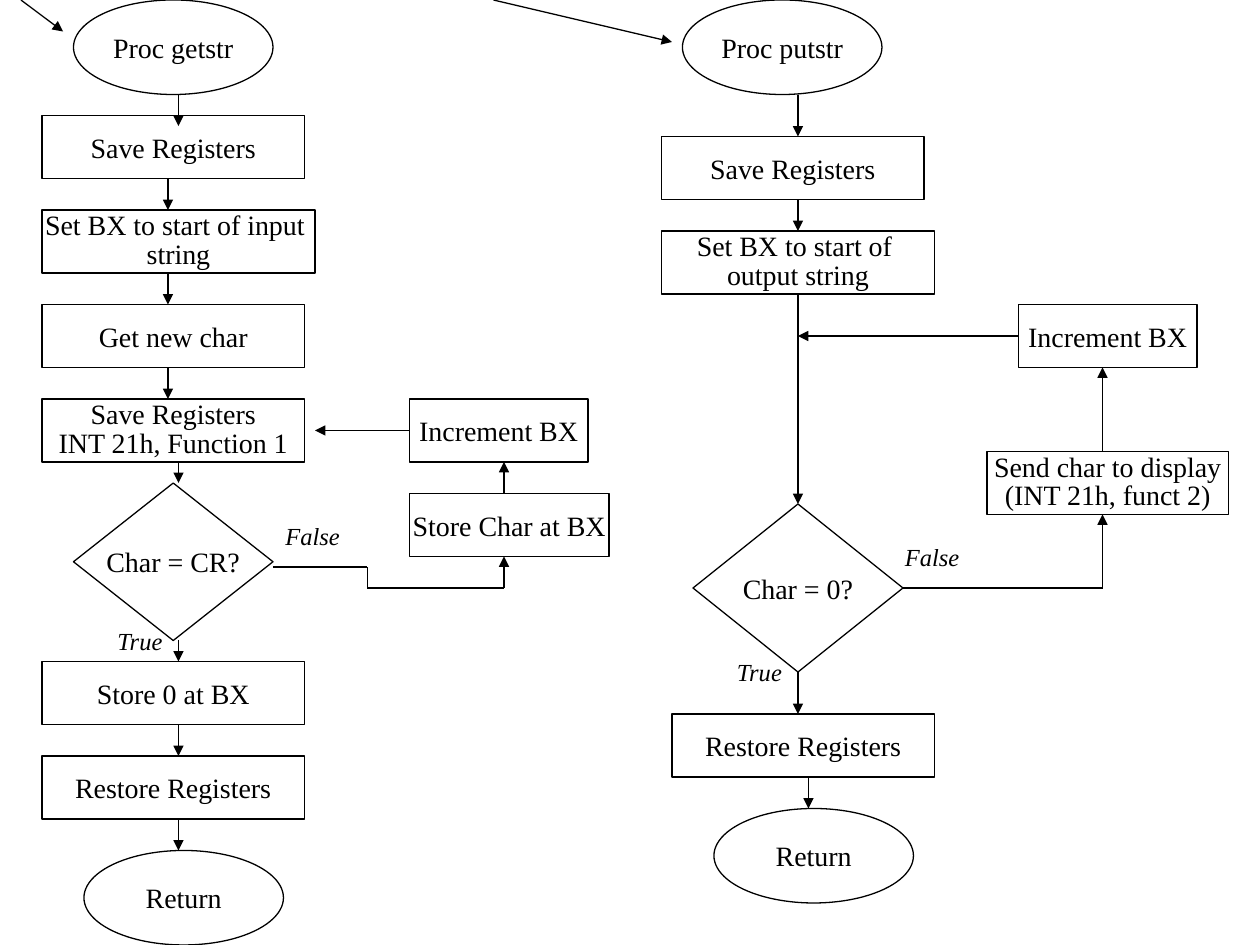
from lxml import etree
from pptx import Presentation
from pptx.dml.color import RGBColor
from pptx.enum.shapes import MSO_CONNECTOR, MSO_SHAPE
from pptx.enum.text import MSO_ANCHOR, MSO_AUTO_SIZE, PP_ALIGN
from pptx.oxml.ns import qn
from pptx.util import Cm, Pt

RECTANGLE = MSO_SHAPE.RECTANGLE
OVAL = MSO_SHAPE.OVAL
DIAMOND = MSO_SHAPE.DIAMOND
STRAIGHT = MSO_CONNECTOR.STRAIGHT
CENTER = PP_ALIGN.CENTER
MIDDLE = MSO_ANCHOR.MIDDLE
GROW = MSO_AUTO_SIZE.SHAPE_TO_FIT_TEXT

TOP, LEFT, BOTTOM, RIGHT = range(4)
FONT = "Times New Roman"
BLACK = "000000"
WHITE = "FFFFFF"
GRID_CM = 2.54 / 12
TIGHT_SPACING = 0.85

GETSTR_NODES = [
    (DIAMOND, 7, 46, 19, 15, "Char = CR?"),
    (OVAL, 7, 0, 19, 9, "Proc getstr"),
    (RECTANGLE, 4, 11, 25, 6, "Save Registers"),
    (RECTANGLE, 4, 20, 26, 6, "Set BX to start of input \nstring"),
    (RECTANGLE, 4, 29, 25, 6, "Get new char"),
    (RECTANGLE, 4, 38, 25, 6, "Save Registers\nINT 21h, Function 1"),
    (RECTANGLE, 39, 47, 19, 6, "Store Char at BX"),
    (RECTANGLE, 4, 63, 25, 6, "Store 0 at BX"),
    (RECTANGLE, 4, 72, 25, 6, "Restore Registers"),
    (OVAL, 8, 81, 19, 9, "Return"),
]
PUTSTR_NODES = [
    (OVAL, 65, 0, 19, 9, "Proc putstr"),
    (RECTANGLE, 63, 13, 25, 6, "Save Registers"),
    (RECTANGLE, 94, 43, 23, 6, "Send char to display\n(INT 21h, funct 2)"),
    (RECTANGLE, 64, 68, 25, 6, "Restore Registers"),
    (OVAL, 68, 77, 19, 9, "Return"),
]
LABELS = [
    (10, 59, "True"),
    (26, 49, "False"),
    (69, 62, "True"),
    (85, 51, "False"),
]
GETSTR_ARROWS = [
    (2, 0, 6, 3),
    (17, 9, 17, 12),
    (16, 17, 16, 20),
    (16, 26, 16, 29),
    (16, 35, 16, 38),
    (17, 44, 17, 46),
    (17, 61, 17, 63),
    (17, 69, 17, 72),
    (17, 78, 17, 81),
    (48, 56, 48, 53),
    (48, 47, 48, 44),
]
PUTSTR_ARROWS = [
    (47, 0, 64, 4),
    (77, 74, 77, 77),
    (105, 56, 105, 49),
    (105, 43, 105, 35),
]
FALSE_PATH = [(26, 54), (35, 54), (35, 56), (48, 56)]


def grid(steps):
    return Cm(steps * GRID_CM)


def color(value):
    return RGBColor.from_string(value)


def style_para(para, size, italic=False):
    font = para.font
    font.name = FONT
    font.size = Pt(size)
    font.italic = italic
    font.color.rgb = color(BLACK)


def add_node(page, kind, left, top, width, height, text):
    node = page.shapes.add_shape(kind, *map(grid, (left, top, width, height)))
    node.shadow.inherit = False
    node.fill.solid()
    node.fill.fore_color.rgb = color(WHITE)
    node.line.color.rgb = color(BLACK)
    node.line.width = Pt(0.75)
    frame = node.text_frame
    frame.word_wrap = False
    frame.vertical_anchor = MIDDLE
    frame.margin_top = frame.margin_bottom = Cm(0)
    frame.text = text
    for para in frame.paragraphs:
        para.alignment = CENTER
        style_para(para, 16)
        if "\n" in text:
            para.line_spacing = TIGHT_SPACING
    return node


def add_label(page, left, top, text):
    box = page.shapes.add_textbox(grid(left), grid(top), grid(8), Cm(0.86))
    frame = box.text_frame
    frame.word_wrap = True
    frame.auto_size = GROW
    frame.text = text
    para = frame.paragraphs[0]
    para.space_before = Pt(8.8)
    style_para(para, 14, italic=True)


def add_line(page, x1, y1, x2, y2, arrow=True, start=None, finish=None):
    line = page.shapes.add_connector(STRAIGHT, *map(grid, (x1, y1, x2, y2)))
    line.line.color.rgb = color(BLACK)
    line.line.width = Pt(0.75)
    if arrow:
        outline = line.line._get_or_add_ln()
        etree.SubElement(outline, qn("a:tailEnd"), type="triangle")
    etree.SubElement(line._element.spPr, qn("a:effectLst"))
    if start:
        line.begin_connect(*start)
    if finish:
        line.end_connect(*finish)


def add_getstr(page):
    for node in GETSTR_NODES:
        add_node(page, *node)
    increment = add_node(page, RECTANGLE, 39, 38, 17, 6, "Increment BX")
    for points in GETSTR_ARROWS:
        add_line(page, *points)
    add_line(page, 39, 41, 30, 41, start=(increment, LEFT))
    for begin, end in zip(FALSE_PATH, FALSE_PATH[1:]):
        add_line(page, *begin, *end, arrow=False)


def add_putstr(page):
    for node in PUTSTR_NODES:
        add_node(page, *node)
    set_start = add_node(page, RECTANGLE, 63, 22, 26, 6,
                         "Set BX to start of \noutput string")
    decision = add_node(page, DIAMOND, 66, 48, 20, 16, "Char = 0?")
    increment = add_node(page, RECTANGLE, 97, 29, 17, 6, "Increment BX")
    for points in PUTSTR_ARROWS:
        add_line(page, *points)
    add_line(page, 76, 9, 76, 13)
    add_line(page, 76, 19, 76, 22, finish=(set_start, TOP))
    add_line(page, 76, 28, 76, 48,
             start=(set_start, BOTTOM), finish=(decision, TOP))
    add_line(page, 76, 64, 76, 68, start=(decision, BOTTOM))
    add_line(page, 86, 56, 105, 56, arrow=False, start=(decision, RIGHT))
    add_line(page, 97, 32, 76, 32, start=(increment, LEFT))


def main():
    deck = Presentation()
    deck.slide_width = Cm(25.4)
    deck.slide_height = Cm(19.05)
    page = deck.slides.add_slide(deck.slide_layouts[6])
    add_getstr(page)
    add_putstr(page)
    for label in LABELS:
        add_label(page, *label)
    deck.save("out.pptx")


if __name__ == "__main__":
    main()
